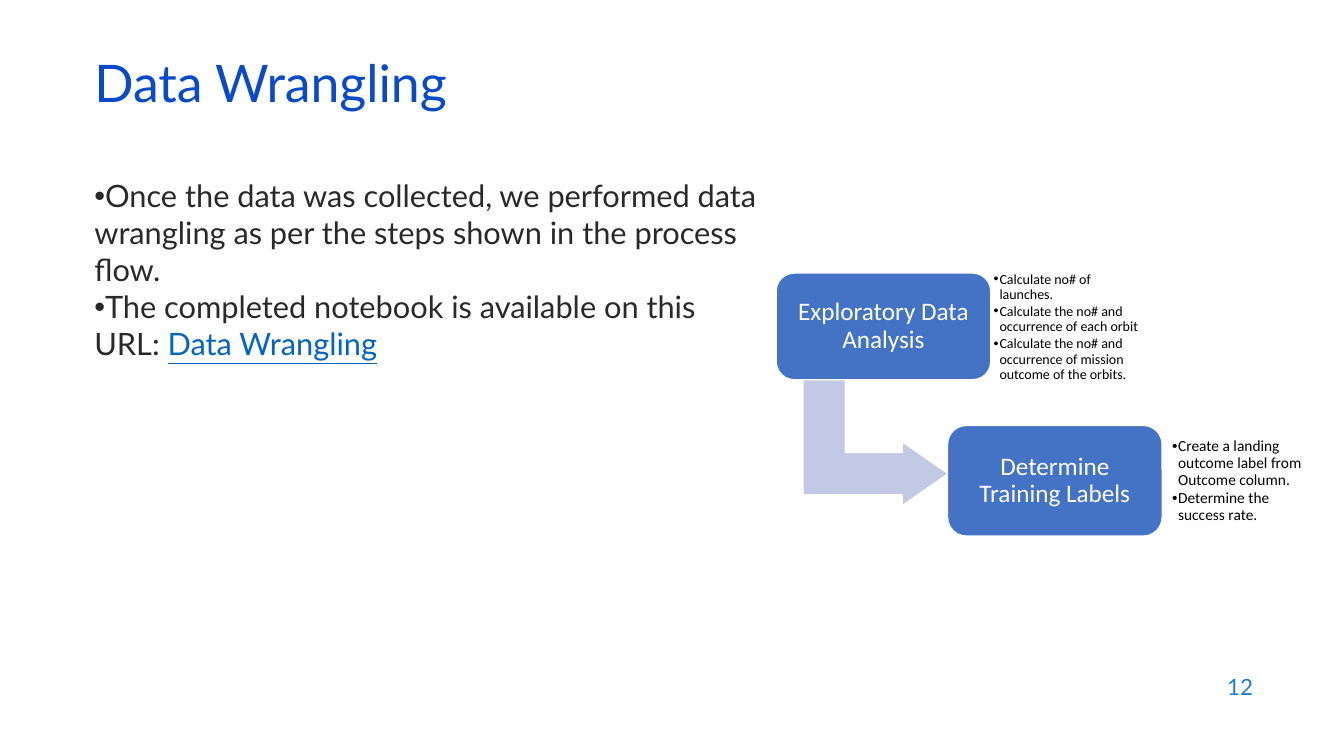
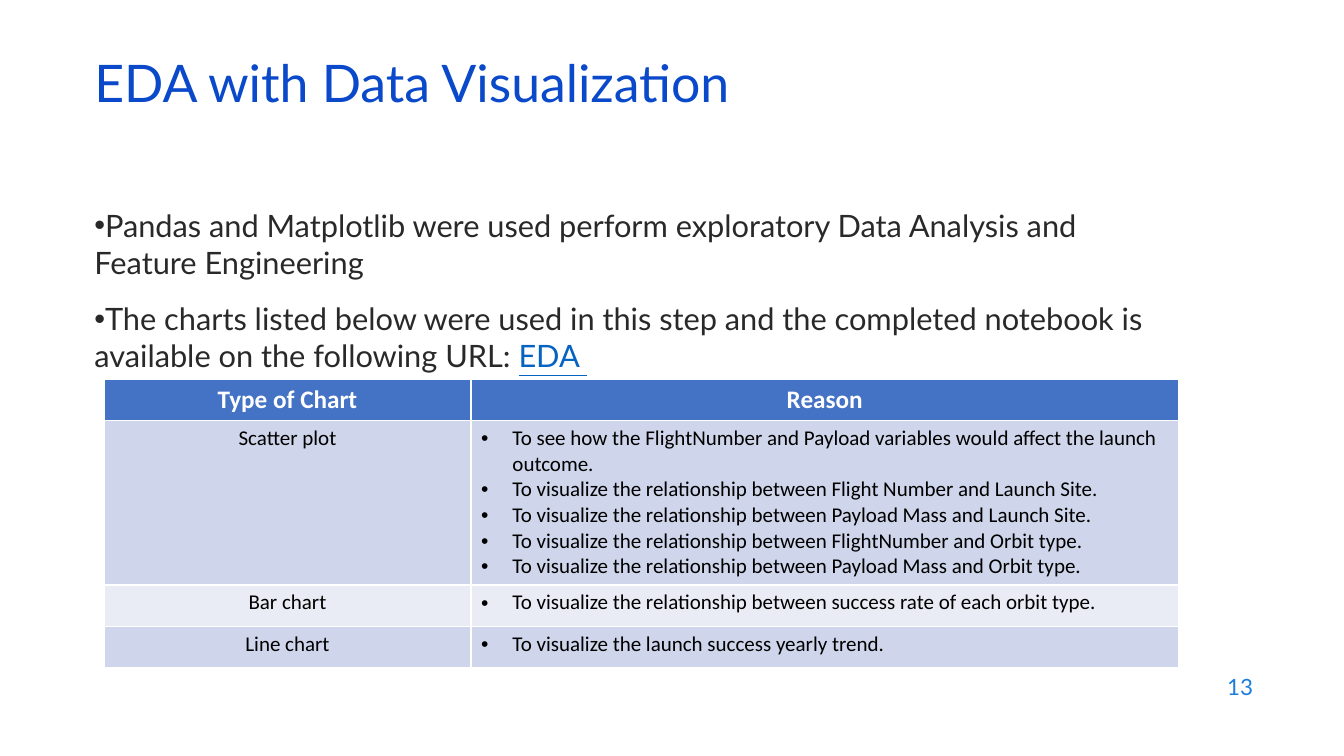
from dataclasses import dataclass

from lxml.etree import SubElement
from pptx import Presentation
from pptx.dml.color import RGBColor as Rgb
from pptx.enum.shapes import MSO_SHAPE as Kind
from pptx.enum.text import MSO_ANCHOR as Anchor, PP_ALIGN as Align
from pptx.oxml.ns import qn
from pptx.util import Cm, Pt

BLUE, WHITE, BLACK, INK = "4472C4", "FFFFFF", "000000", "292929"
TITLE, LINK, NUMBER, ARROW = "0B49CB", "0563C1", "1C7DDB", "C1C9E4"
BANDS = ("CFD5EA", "E9EBF5")


@dataclass(frozen=True)
class Box:
    left: float
    top: float
    width: float
    height: float

    def place(self) -> tuple:
        return tuple(Cm(n) for n in (self.left, self.top, self.width, self.height))


@dataclass(frozen=True)
class Style:
    size: float
    ink: str
    face: str = "Calibri"
    bold: bool = False
    align: Align = Align.LEFT
    lead: float = 1.0
    before: float = 0
    after: float = 0
    hang: float | None = None


@dataclass(frozen=True)
class Step:
    box: Box
    label: str
    side: Box
    notes: tuple[str, ...]
    size: float
    inset: float


@dataclass(frozen=True)
class Row:
    chart: str
    goals: tuple[str, ...]
    height: float


HEAD = Style(37, TITLE, "Lato", lead=0.7)
FOOT = Style(16, NUMBER, "Lato", align=Align.RIGHT)
NODE = Style(18, WHITE, align=Align.CENTER, lead=0.9)
TOP = Style(18, WHITE, bold=True, align=Align.CENTER)
NAME = Style(15, BLACK, align=Align.CENTER)
GOAL = Style(15, BLACK, hang=0.79)

STEPS = (
    Step(Box(19.56, 6.88, 5.41, 2.69), "Exploratory Data Analysis",
         Box(24.94, 6.71, 3.94, 3.07),
         ("Calculate no# of launches.",
          "Calculate the no# and occurrence of each orbit",
          "Calculate the no# and occurrence of mission outcome of the orbits."),
         10, 0.1),
    Step(Box(23.88, 10.72, 5.41, 2.79), "Determine Training Labels",
         Box(29.39, 10.59, 3.94, 3.07),
         ("Create a landing outcome label from Outcome column.",
          "Determine the success rate."),
         11, 0.15),
)

ROWS = (
    Row("Scatter plot",
        ("To see how the FlightNumber and Payload variables would affect the launch outcome.",
         "To visualize the relationship between Flight Number and Launch Site.",
         "To visualize the relationship between Payload Mass and Launch Site.",
         "To visualize the relationship between FlightNumber and Orbit type.",
         "To visualize the relationship between Payload Mass and Orbit type."), 4.15),
    Row("Bar chart",
        ("To visualize the relationship between success rate of each orbit type.",), 1.04),
    Row("Line chart", ("To visualize the launch success yearly trend.",), 1.04),
)


def tint(hue, code: str) -> None:
    hue.rgb = Rgb.from_string(code)


def paint(part, code: str) -> None:
    part.fill.solid()
    tint(part.fill.fore_color, code)


def bullet(par, hang: float) -> None:
    props = par._p.get_or_add_pPr()
    props.set("marL", str(Cm(hang)))
    props.set("indent", str(-Cm(hang)))
    SubElement(props, qn("a:buFont")).set("typeface", "Arial")
    SubElement(props, qn("a:buChar")).set("char", "•")


def write(frame, lines: tuple[str, ...], style: Style) -> None:
    for spot, line in enumerate(lines):
        par = frame.add_paragraph() if spot else frame.paragraphs[0]
        if style.hang is not None:
            bullet(par, style.hang)
        par.alignment = style.align
        par.line_spacing = style.lead
        par.space_before = Pt(style.before if spot else 0)
        par.space_after = Pt(style.after)
        font = par.font
        font.size, font.name, font.bold = Pt(style.size), style.face, style.bold
        tint(font.color, style.ink)
        par.add_run().text = line


def inset(frame, gap: float) -> None:
    frame.margin_left = frame.margin_right = Cm(gap)
    frame.margin_top = frame.margin_bottom = Cm(gap)


def add_text(slide, box: Box, lines: tuple[str, ...], style: Style,
             anchor: Anchor = Anchor.MIDDLE):
    frame = slide.shapes.add_textbox(*box.place()).text_frame
    frame.word_wrap = True
    frame.vertical_anchor = anchor
    write(frame, lines, style)
    return frame


def add_form(slide, kind: Kind, box: Box, fill: str, knobs: tuple[float, ...]):
    form = slide.shapes.add_shape(kind, *box.place())
    form.shadow.inherit = False
    paint(form, fill)
    tint(form.line.color, WHITE)
    form.line.width = Pt(1)
    for spot, knob in enumerate(knobs):
        form.adjustments[spot] = knob
    return form


def add_page(deck, title: str, number: int):
    slide = deck.slides.add_slide(deck.slide_layouts[6])
    add_text(slide, Box(24.21, 16.74, 7.62, 1.12), (str(number),), FOOT)
    add_text(slide, Box(2.13, 1.5, 29.21, 1.52), (title,), HEAD)
    return slide


def add_body(slide, box: Box, lines: tuple[str, ...], link: str, before: float) -> None:
    style = Style(22, INK, "Lato", before=before, hang=0)
    frame = add_text(slide, box, lines, style, Anchor.TOP)
    run = frame.paragraphs[-1].add_run()
    run.text = link
    run.font.underline = True
    tint(run.font.color, LINK)


def add_step(slide, step: Step) -> None:
    node = add_form(slide, Kind.ROUNDED_RECTANGLE, step.box, BLUE, (0.17,)).text_frame
    node.word_wrap = True
    node.vertical_anchor = Anchor.MIDDLE
    inset(node, 0.18)
    write(node, (step.label,), NODE)
    style = Style(step.size, BLACK, lead=0.9, after=1.5, hang=0.15)
    inset(add_text(slide, step.side, step.notes, style), step.inset)


def add_grid(slide, box: Box, widths: tuple[float, ...]) -> None:
    grid = slide.shapes.add_table(len(ROWS) + 1, len(widths), *box.place()).table
    for col, width in zip(grid.columns, widths):
        col.width = Cm(width)
    grid.rows[0].height = Cm(1.04)
    for spot, label in enumerate(("Type of Chart", "Reason")):
        cell = grid.cell(0, spot)
        paint(cell, BLUE)
        write(cell.text_frame, (label,), TOP)
    for spot, row in enumerate(ROWS):
        grid.rows[spot + 1].height = Cm(row.height)
        pairs = (((row.chart,), NAME), (row.goals, GOAL))
        for col, (lines, style) in enumerate(pairs):
            cell = grid.cell(spot + 1, col)
            paint(cell, BANDS[spot % 2])
            write(cell.text_frame, lines, style)


def main() -> None:
    """Build the data wrangling and charting slides."""
    deck = Presentation()
    deck.slide_width, deck.slide_height = Cm(33.87), Cm(19.05)

    flow = add_page(deck, "Data Wrangling", 12)
    add_body(flow, Box(2.13, 4.34, 17.42, 8.89),
             ("Once the data was collected, we performed data wrangling as per the "
              "steps shown in the process flow.",
              "The completed notebook is available on this URL: "),
             "Data Wrangling", 0)
    arrow = add_form(flow, Kind.BENT_UP_ARROW, Box(20.45, 9.3, 3.23, 3.66),
                     ARROW, (0.33, 0.25, 0.36))
    arrow.rotation = 90
    for step in STEPS:
        add_step(flow, step)

    charts = add_page(deck, "EDA with Data Visualization", 13)
    add_body(charts, Box(2.13, 5.08, 27.56, 12.78),
             ("Pandas and Matplotlib were used perform exploratory Data Analysis "
              "and Feature Engineering",
              "The charts listed below were used in this step and the completed "
              "notebook is available on the following URL: "),
             "EDA ", 14)
    add_grid(charts, Box(2.62, 9.55, 27.08, 7.27), (9.25, 17.83))

    deck.save("out.pptx")


if __name__ == "__main__":
    main()
